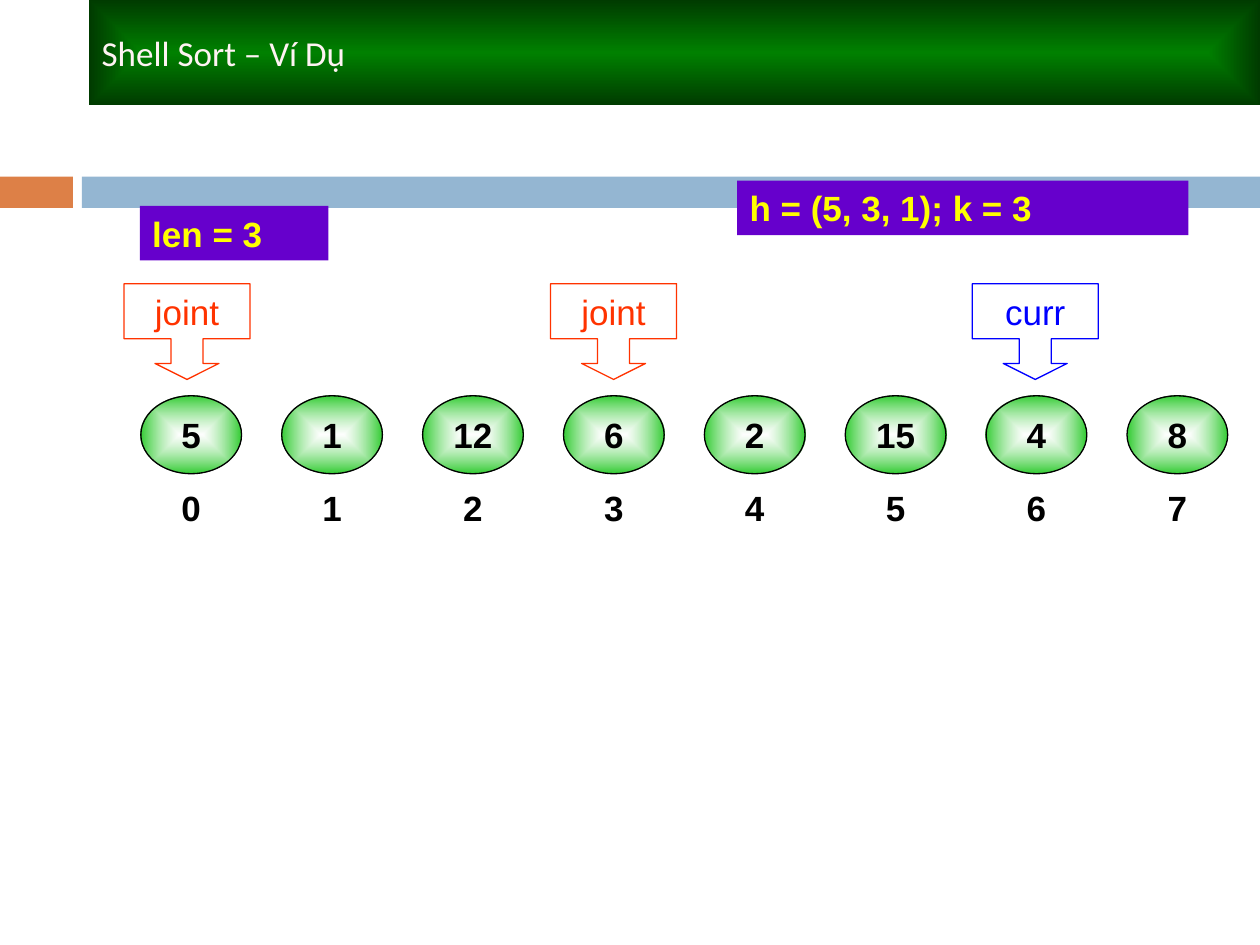
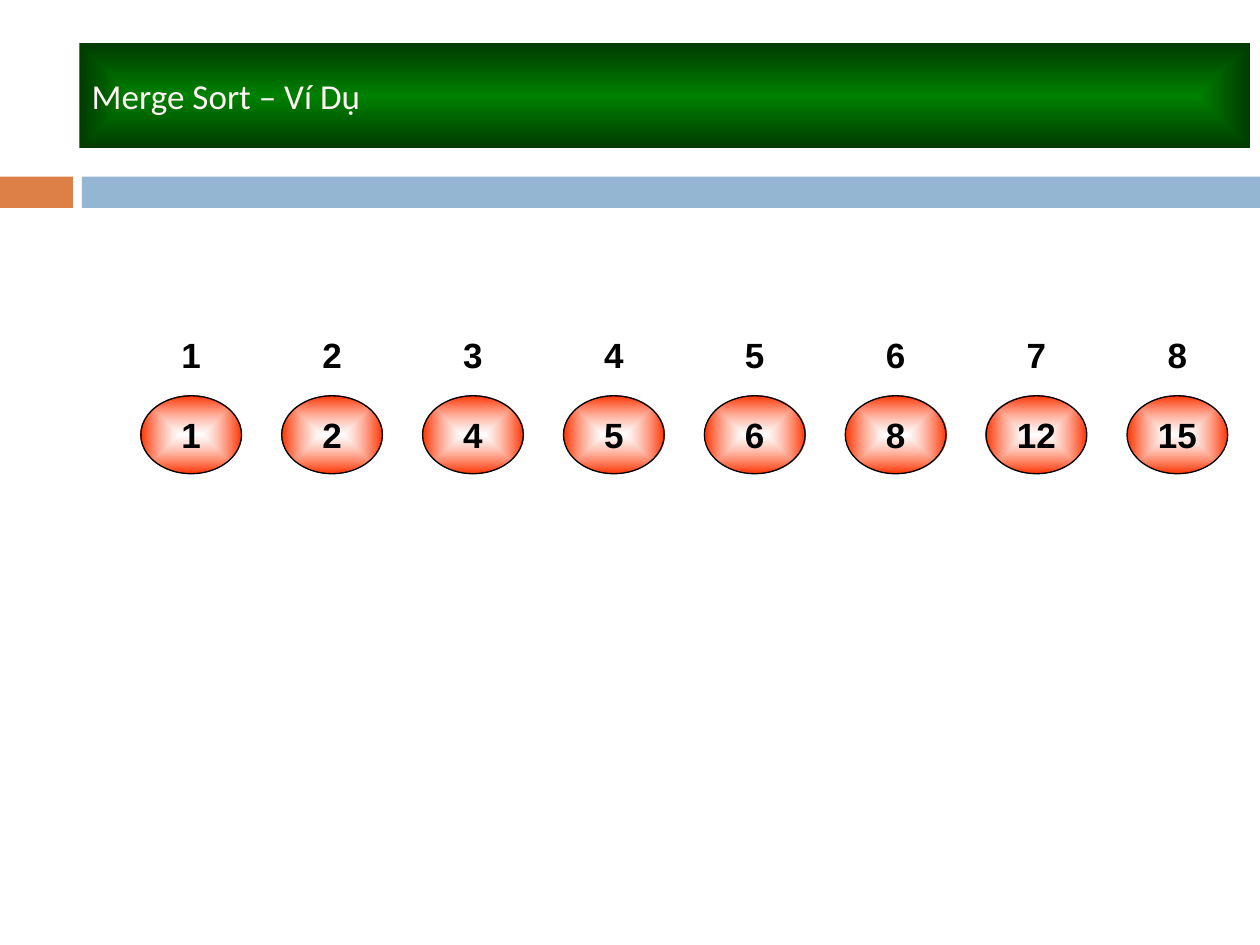
from pptx import Presentation
from pptx.dml.color import RGBColor
from pptx.enum.shapes import MSO_SHAPE
from pptx.enum.text import MSO_ANCHOR, PP_ALIGN
from pptx.oxml import parse_xml
from pptx.oxml.ns import nsdecls, qn
from pptx.util import Cm, Pt

RECTANGLE = MSO_SHAPE.RECTANGLE
OVAL = MSO_SHAPE.OVAL
CALLOUT = MSO_SHAPE.DOWN_ARROW_CALLOUT
MIDDLE = MSO_ANCHOR.MIDDLE
LEFT, CENTER = PP_ALIGN.LEFT, PP_ALIGN.CENTER

ORANGE, BLUE_GREY = "DD8047", "94B6D2"
GREEN, DARK_GREEN, LIME = "008000", "003B00", "33CC33"
RED, BLUE, PURPLE, YELLOW = "FF3300", "0000FF", "6600CC", "FFFF00"
BLACK, WHITE, TITLE_WHITE = "000000", "FFFFFF", "FFF3F3"

PITCH = 2.84
BALL_SIZE = (2.03, 1.57)
VALUES_TOP = 7.98
CALLOUT_RATIOS = (0.334, 0.334, 0.167, 0.575)


def color(code):
    return RGBColor.from_string(code)


class SortDeck:
    title_font = {"name": "Calibri", "size": Pt(20), "bold": False}
    pointer_font = {"name": "Arial", "size": Pt(20), "bold": False}
    strong_font = {"name": "Arial", "size": Pt(20), "bold": True}

    def __init__(self):
        self.deck = Presentation()
        self.deck.slide_width, self.deck.slide_height = Cm(25.4), Cm(19.05)
        self.slide = None

    def start_slide(self):
        self.slide = self.deck.slides.add_slide(self.deck.slide_layouts[6])
        self.figure(RECTANGLE, (0, 3.56, 1.47, 0.63), fill=ORANGE)
        self.figure(RECTANGLE, (1.65, 3.56, 23.75, 0.63), fill=BLUE_GREY)

    def figure(self, kind, box, fill=None, line=None, parent=None):
        shapes = (parent or self.slide).shapes
        shape = shapes.add_shape(kind, *(Cm(length) for length in box))
        shape.shadow.inherit = False
        if fill:
            shape.fill.solid()
            shape.fill.fore_color.rgb = color(fill)
        else:
            shape.fill.background()
        if line:
            shape.line.color.rgb = color(line)
            shape.line.width = Pt(0.75)
        else:
            shape.line.fill.background()
        return shape

    def glow(self, shape, inner, outer, opacity=100):
        gradient = parse_xml(
            f'<a:gradFill {nsdecls("a")} rotWithShape="1"><a:gsLst>'
            f'<a:gs pos="0"><a:srgbClr val="{inner}"><a:alpha val="{opacity * 1000}"/></a:srgbClr></a:gs>'
            f'<a:gs pos="100000"><a:srgbClr val="{outer}"/></a:gs></a:gsLst>'
            '<a:path path="rect"><a:fillToRect l="50000" t="50000" r="50000" b="50000"/></a:path>'
            '</a:gradFill>')
        properties = shape.element.spPr
        properties.replace(properties.find(qn("a:noFill")), gradient)

    def caption(self, shape, text, style, ink, align=CENTER):
        frame = shape.text_frame
        frame.word_wrap = True
        frame.vertical_anchor = MIDDLE
        paragraph = frame.paragraphs[0]
        paragraph.text = text
        paragraph.alignment = align
        for attribute, value in style.items():
            setattr(paragraph.font, attribute, value)
        paragraph.font.color.rgb = color(ink)

    def title(self, text, left, top):
        banner = self.figure(RECTANGLE, (left, top, 23.6, 2.12))
        self.glow(banner, GREEN, DARK_GREEN)
        self.caption(banner, text, self.title_font, TITLE_WHITE, LEFT)

    def number_row(self, numbers, top, rim=None):
        row = self.slide.shapes.add_group_shape()
        for position, number in enumerate(numbers, 1):
            box = (PITCH * position, top, *BALL_SIZE)
            ball = self.figure(OVAL, box, line=BLACK if rim else None, parent=row)
            if rim:
                self.glow(ball, WHITE, rim, opacity=60)
            self.caption(ball, str(number), self.strong_font, BLACK)

    def state_label(self, text, left, top, width):
        label = self.figure(RECTANGLE, (left, top, width, 1.1), fill=PURPLE)
        self.caption(label, text, self.strong_font, YELLOW, LEFT)

    def pointer(self, text, left, ink):
        arrow = self.figure(CALLOUT, (left, 5.72, 2.54, 1.93), line=ink)
        for index, ratio in enumerate(CALLOUT_RATIOS):
            arrow.adjustments[index] = ratio
        self.caption(arrow, text, self.pointer_font, ink)

    def save(self):
        self.deck.save("out.pptx")


def main():
    sorting = SortDeck()

    sorting.start_slide()
    sorting.number_row([5, 1, 12, 6, 2, 15, 4, 8], VALUES_TOP, LIME)
    sorting.number_row(range(8), 9.45)
    sorting.title("Shell Sort – Ví Dụ", 1.8, 0)
    sorting.state_label("h = (5, 3, 1); k = 3", 14.86, 3.64, 9.1)
    sorting.state_label("len = 3", 2.82, 4.15, 3.8)
    for name, left, ink in [("curr", 19.6, BLUE), ("joint", 2.5, RED), ("joint", 11.1, RED)]:
        sorting.pointer(name, left, ink)

    sorting.start_slide()
    sorting.number_row([1, 2, 4, 5, 6, 8, 12, 15], VALUES_TOP, RED)
    sorting.number_row(range(1, 9), 6.37)
    sorting.title("Merge Sort – Ví Dụ", 1.6, 0.87)

    sorting.save()


if __name__ == "__main__":
    main()
